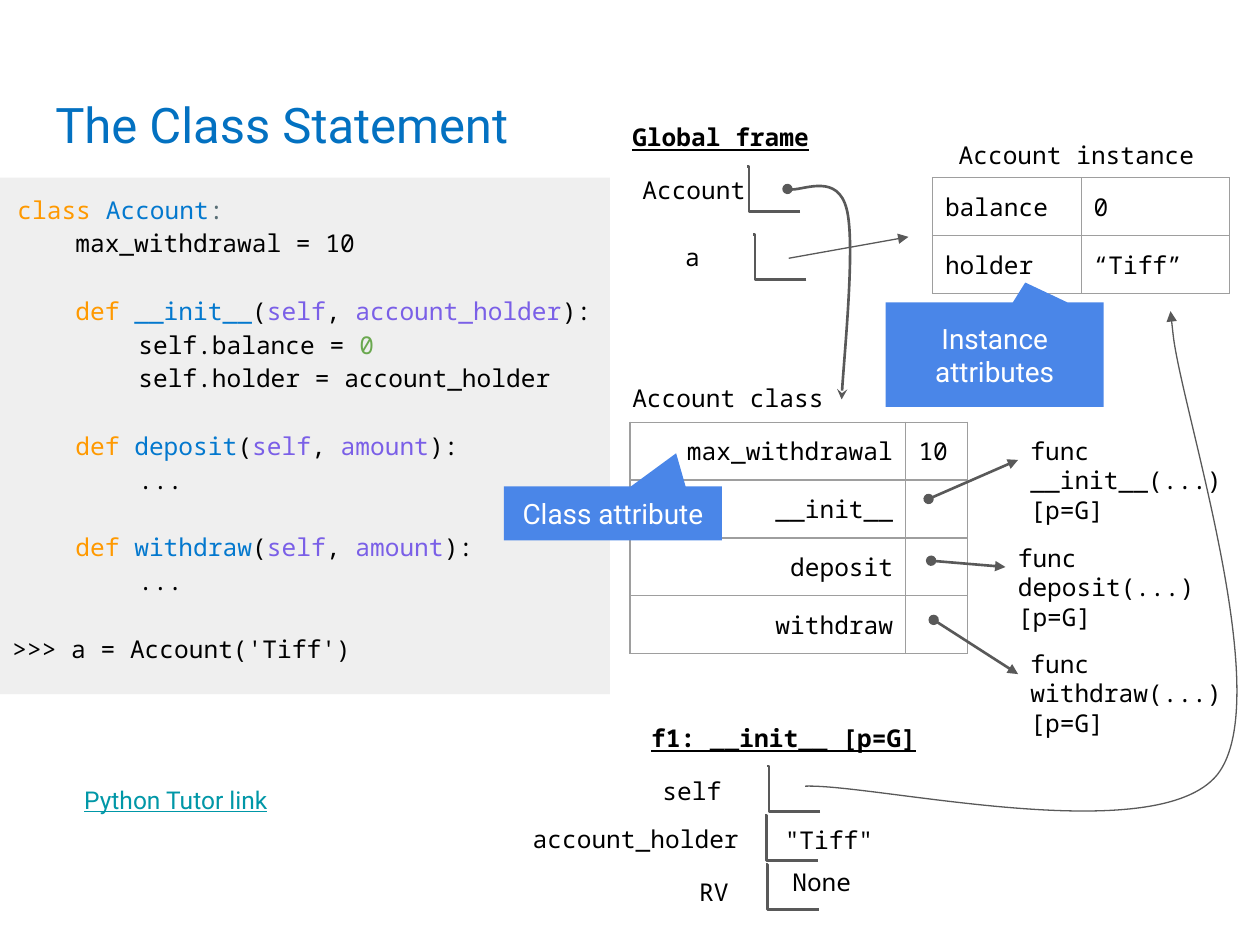
from lxml import etree
from pptx import Presentation
from pptx.dml.color import RGBColor
from pptx.enum import shapes, text
from pptx.oxml.ns import qn
from pptx.util import Inches, Pt

BLACK, WHITE = RGBColor(0, 0, 0), RGBColor(255, 255, 255)
TITLE, LINK = RGBColor(0x03, 0x71, 0xC1), RGBColor(0x00, 0x97, 0xA7)
INK, GRID = RGBColor(0x59, 0x59, 0x59), RGBColor(0x9E, 0x9E, 0x9E)
PANEL, CALLOUT = RGBColor(0xEF, 0xEF, 0xEF), RGBColor(0x4A, 0x86, 0xE8)
KEYWORD, NAME = RGBColor(0xFF, 0x99, 0x00), RGBColor(0x03, 0x78, 0xCE)
PARAM, NUMBER = RGBColor(0x7A, 0x5F, 0xE7), RGBColor(0x6A, 0xA8, 0x4F)
COLON = RGBColor(0x58, 0x6E, 0x75)
MONO, SANS = "Noto Sans Mono", "Roboto"
HEADING = dict(bold=True, underline=True)


# Shared helpers
def add_run(p, words, color=BLACK, **fmt):
    r = p.add_run()
    r.text = words
    for key, value in {"name": MONO, "size": Pt(14), **fmt}.items():
        setattr(r.font, key, value)
    r.font.color.rgb = color


def set_margins(holder):
    for side in ("left", "top", "right", "bottom"):
        setattr(holder, f"margin_{side}", Inches(0.1))


def set_frame(tf, anchor=text.MSO_ANCHOR.TOP):
    tf.word_wrap = True
    tf.vertical_anchor = anchor
    set_margins(tf)


def label(s, words, x, y, w=1.73, h=0.42, color=BLACK, **fmt):
    tf = s.shapes.add_textbox(*map(Inches, (x, y, w, h))).text_frame
    set_frame(tf)
    add_run(tf.paragraphs[0], words, color, **fmt)


def style_line(sp, width, head=None, tail=None):
    sp.line.color.rgb = INK
    sp.line.width = Pt(width)
    ln = sp.line._get_or_add_ln()
    for tag, kind in (("a:headEnd", head), ("a:tailEnd", tail)):
        if kind:
            etree.SubElement(ln, qn(tag), type=kind)


def connector(s, start, end, width=1.5, head=None, tail=None,
              kind=shapes.MSO_CONNECTOR.STRAIGHT):
    c = s.shapes.add_connector(kind, *map(Inches, start + end))
    style_line(c, width, head, tail)
    etree.SubElement(c._element.spPr, qn("a:effectLst"))
    return c


def corner(s, x, y):
    """L-shaped bracket that holds the value of a variable."""
    c = connector(s, (x + 0.42, y + 0.36), (x, y), kind=shapes.MSO_CONNECTOR.ELBOW)
    av = c._element.spPr.find(qn("a:prstGeom")).get_or_add_avLst()
    etree.SubElement(av, qn("a:gd"), name="adj1", fmla="val 96800")


def curve(s, points, width, head=None, tail=None):
    """Bezier path: a start point, then groups of two controls and an end."""
    start, *rest = [(Inches(x), Inches(y)) for x, y in points]
    fb = s.shapes.build_freeform(*start)
    fb.add_line_segments(rest, close=False)
    sp = fb.convert_to_shape()
    lines = list(sp._element.iter(qn("a:lnTo")))
    for i in range(0, len(lines), 3):
        bezier = etree.Element(qn("a:cubicBezTo"))
        lines[i].addprevious(bezier)
        for line in lines[i:i + 3]:
            bezier.append(line[0])
            line.getparent().remove(line)
    sp.fill.background()
    sp.shadow.inherit = False
    style_line(sp, width, head, tail)


def box(s, kind, x, y, w, h, color):
    sp = s.shapes.add_shape(kind, *map(Inches, (x, y, w, h)))
    sp.fill.solid()
    sp.fill.fore_color.rgb = color
    sp.line.fill.background()
    sp.shadow.inherit = False
    return sp


def callout(s, words, x, y, w, h, tip):
    sp = box(s, shapes.MSO_SHAPE.ROUNDED_RECTANGULAR_CALLOUT, x, y, w, h, CALLOUT)
    for i, value in enumerate((*tip, 0)):
        sp.adjustments[i] = value
    set_frame(sp.text_frame, text.MSO_ANCHOR.MIDDLE)
    p = sp.text_frame.paragraphs[0]
    p.alignment = text.PP_ALIGN.CENTER
    add_run(p, words, WHITE, name=SANS, size=Pt(16))


def grid(s, rows, x, y, widths, row_h, first_align):
    t = s.shapes.add_table(len(rows), len(widths), *map(
        Inches, (x, y, sum(widths), row_h * len(rows)))).table
    t.first_row = t.horz_banding = False
    for col, w in zip(t.columns, widths):
        col.width = Inches(w)
    for i, row in enumerate(rows):
        t.rows[i].height = Inches(row_h)
        for j, words in enumerate(row):
            cell = t.cell(i, j)
            set_margins(cell)
            tc_pr = cell._tc.get_or_add_tcPr()
            for edge in "LRTB":
                ln = etree.SubElement(tc_pr, qn(f"a:ln{edge}"), w=str(Pt(0.75)))
                fill = etree.SubElement(ln, qn("a:solidFill"))
                etree.SubElement(fill, qn("a:srgbClr"), val=str(GRID))
            cell.fill.background()
            p = cell.text_frame.paragraphs[0]
            p.alignment = text.PP_ALIGN.LEFT if j else first_align
            if words:
                add_run(p, words)
            else:
                p._p.get_or_add_endParaRPr().set("sz", "1400")


# Regions
def method(name, *params):
    runs = [("def ", KEYWORD), (name, NAME), ("(", BLACK)]
    for i, param in enumerate(params):
        runs += [(", ", BLACK)] * (i > 0) + [(param, PARAM)]
    return runs + [("):", BLACK)]


def code_panel(s, x, y, w, h):
    # Each line: indent, gap above, coloured runs
    lines = [
        (0.04, False, [("class ", KEYWORD), ("Account", NAME), (":", COLON)]),
        (0.5, False, [("max_withdrawal = 10", BLACK)]),
        (0.5, True, method("__init__", "self", "account_holder")),
        (1, False, [("self.balance = ", BLACK), ("0", NUMBER)]),
        (1, False, [("self.holder = account_holder", BLACK)]),
        (0.5, True, method("deposit", "self", "amount")),
        (1, False, [("...", BLACK)]),
        (0.5, True, method("withdraw", "self", "amount")),
        (1, False, [("...", BLACK)]),
        (0, True, [(">>> a = Account('Tiff')", BLACK)]),
    ]
    tf = box(s, shapes.MSO_SHAPE.RECTANGLE, x, y, w, h, PANEL).text_frame
    set_frame(tf)
    for i, (indent, gap, runs) in enumerate(lines):
        p = tf.add_paragraph() if i else tf.paragraphs[0]
        p._p.get_or_add_pPr().set("marL", str(Inches(indent)))
        p.alignment = text.PP_ALIGN.LEFT
        p.line_spacing = 1.15
        if gap:
            p.space_before = Pt(19.3)
        for words, color in runs:
            add_run(p, words, color)


def global_frame(s, x, y):
    label(s, "Global frame", x, y, 2.9, **HEADING)
    label(s, "Account", x + 0.08, y + 0.42)
    corner(s, x + 1.01, y + 0.45)
    label(s, "a", x + 0.42, y + 0.95, 0.5)
    corner(s, x + 1.06, y + 0.99)
    # Account points to the class, a points to the instance
    curve(s, [(x + dx, y + dy) for dx, dy in (
        (1.33, 0.63), (1.41, 0.66), (1.73, 0.51), (1.8, 0.79),
        (1.87, 1.06), (1.77, 2.05), (1.76, 2.3))], 1.5, "oval", "stealth")
    connector(s, (x + 1.34, y + 1.18), (x + 2.29, y + 1.01), 0.75, tail="triangle")


def account_class(s, x, y):
    label(s, "Account class", x - 0.08, y - 0.41)
    grid(s, [("max_withdrawal", "10"), ("__init__", ""), ("deposit", ""),
             ("withdraw", "")], x, y, (2.19, 0.49), 0.46, text.PP_ALIGN.RIGHT)
    # Function objects: name, label place, arrow start and end
    for name, place, start, end in (
            ("__init__", (3.08, 0.01), (2.37, 0.61), (3.08, 0.3)),
            ("deposit", (2.98, 0.86), (2.39, 1.1), (2.98, 1.15)),
            ("withdraw", (3.08, 1.7), (2.41, 1.57), (3.08, 2))):
        at = [(x + dx, y + dy) for dx, dy in (place, start, end)]
        label(s, f"func {name}(...) [p=G]", *at[0], h=0.58)
        connector(s, at[1], at[2], head="oval", tail="triangle")


def account_instance(s, x, y):
    label(s, "Account instance", x + 0.11, y - 0.4, 2.15)
    grid(s, [("balance", "0"), ("holder", "“Tiff”")], x, y, (1.18, 1.18), 0.46,
         text.PP_ALIGN.LEFT)


def init_frame(s, x, y):
    label(s, "f1: __init__ [p=G]", x, y, 2.9, **HEADING)
    # Variables: name, label place and width, bracket place
    for name, dx, dy, w, bx, by in (("self", 0.09, 0.42, 1.73, 1.02, 0.44),
                                    ("account_holder", -0.94, 0.8, 1.94, 1, 0.83),
                                    ("RV", 0.38, 1.22, 0.5, 1.01, 1.22)):
        label(s, name, x + dx, y + dy, w)
        corner(s, x + bx, y + by)
    label(s, '"Tiff"', x + 1.06, y + 0.81, 1.19, 0.24)
    label(s, "None", x + 1.12, y + 1.14, 0.93, 0.24)


def main():
    prs = Presentation()
    prs.slide_width, prs.slide_height = Inches(10), Inches(7.5)
    s = prs.slides.add_slide(prs.slide_layouts[6])
    label(s, "The Class Statement", 0.34, 0.65, 9.32, 0.83, TITLE,
          name=SANS, size=Pt(28))
    global_frame(s, 4.92, 0.87)
    init_frame(s, 5.07, 5.64)
    account_class(s, 5, 3.35)
    account_instance(s, 7.4, 1.41)
    code_panel(s, 0, 1.41, 4.84, 4.1)
    callout(s, "Instance attributes", 7.03, 2.4, 1.73, 0.83, (0.14, -0.69))
    callout(s, "Class attribute", 4, 3.86, 1.73, 0.43, (0.29, -1.11))
    # self points to the instance
    curve(s, [(6.39, 6.24), (6.94, 6.22), (9.17, 6.75), (9.66, 6.15),
              (10.14, 5.55), (9.37, 3.23), (9.31, 2.65)], 0.75)
    connector(s, (9.31, 2.65), (9.29, 2.47), 0.75, tail="triangle")
    label(s, "Python Tutor link", 0.57, 6.13, 2.15, 0.56, LINK,
          name=SANS, underline=True)
    prs.save("out.pptx")


if __name__ == "__main__":
    main()
